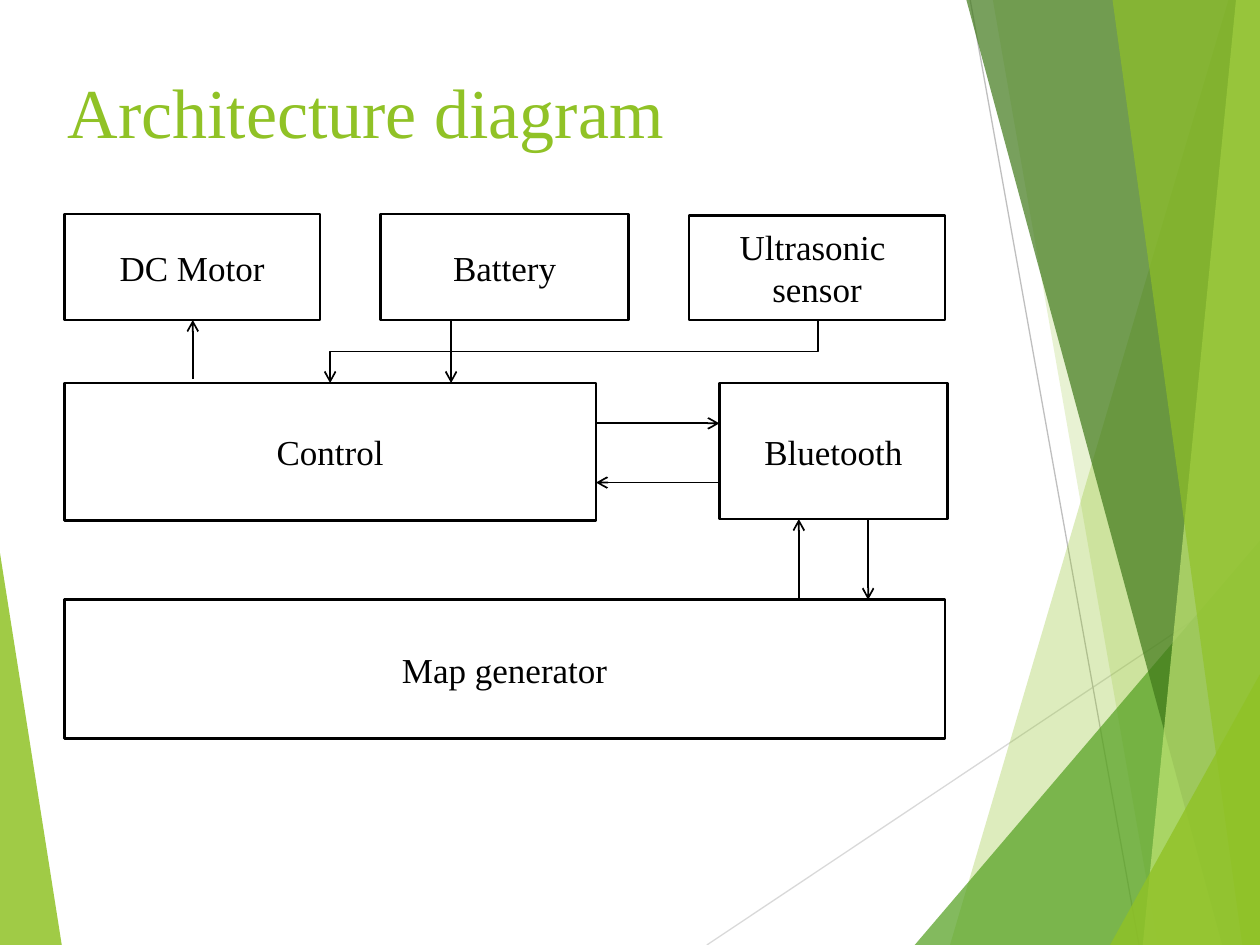
from lxml.etree import SubElement
from pptx import Presentation
from pptx.dml.color import RGBColor
from pptx.enum.shapes import MSO_CONNECTOR, MSO_SHAPE
from pptx.enum.text import MSO_ANCHOR, PP_ALIGN
from pptx.oxml.ns import qn
from pptx.util import Inches, Pt

FONT = "Times New Roman"
COLORS = {
    "lime": "90C226",
    "green": "54A021",
    "forest": "3F7819",
    "pale": "C0E474",
    "silver": "D9D9D9",
    "gray": "BFBFBF",
    "black": "000000",
    "white": "FFFFFF",
}


def color(name):
    return RGBColor.from_string(COLORS[name])


def style_text(paragraph, size, color_name, alignment):
    paragraph.alignment = alignment
    paragraph.font.name = FONT
    paragraph.font.size = Pt(size)
    paragraph.font.color.rgb = color(color_name)


def add_line(slide, start, end, color_name, width, kind=MSO_CONNECTOR.STRAIGHT):
    points = [Inches(value) for value in (*start, *end)]
    connector = slide.shapes.add_connector(kind, *points)
    connector.line.color.rgb = color(color_name)
    connector.line.width = Pt(width)
    SubElement(connector.element.spPr, qn("a:effectLst"))
    return connector


def add_arrow(slide, start, end, kind=MSO_CONNECTOR.STRAIGHT):
    connector = add_line(slide, start, end, "black", 1, kind)
    outline = connector.element.spPr.find(qn("a:ln"))
    SubElement(outline, qn("a:tailEnd"), type="arrow")
    return connector


def add_down_elbow(slide, start, end):
    center_x, center_y = (start[0] + end[0]) / 2, (start[1] + end[1]) / 2
    half_drop, half_run = (end[1] - start[1]) / 2, (start[0] - end[0]) / 2
    connector = add_arrow(
        slide,
        (center_x - half_drop, center_y - half_run),
        (center_x + half_drop, center_y + half_run),
        MSO_CONNECTOR.ELBOW,
    )
    connector.element.spPr.find(qn("a:xfrm")).set("rot", "5400000")


def add_facet(slide, points, color_name, opacity):
    corners = [(Inches(x), Inches(y)) for x, y in points]
    builder = slide.shapes.build_freeform(*corners[0])
    builder.add_line_segments(corners[1:], close=True)
    shape = builder.convert_to_shape()
    shape.shadow.inherit = False
    shape.fill.solid()
    shape.fill.fore_color.rgb = color(color_name)
    shape.line.fill.background()
    fill_color = shape.element.spPr.find(qn("a:solidFill"))[0]
    SubElement(fill_color, qn("a:alpha"), val=str(opacity * 1000))


def add_backdrop(slide, left, top, width, height):
    right, bottom = left + width, top + height
    add_facet(slide, [(left, top + 4.39), (left + 0.49, bottom), (left, bottom)], "lime", 85)
    add_line(slide, (left + 5.61, bottom), (right, top + 4.57), "silver", 0.75)
    add_line(slide, (left + 7.7, top), (left + 9.04, bottom), "gray", 0.75)
    facets = [
        (9.75, 7.54, "lime", 30),
        (7.88, 9.19, "lime", 20),
        (None, 7.26, "green", 72),
        (7.67, 9.7, "forest", 70),
        (9.81, 9.07, "pale", 70),
        (8.83, 9.86, "lime", 65),
        (None, 8.81, "lime", 80),
    ]
    corner_tops = {7.26: 4.29, 8.81: 5.35}
    for upper, lower, color_name, opacity in facets:
        if upper is None:
            edge = [(right, top + corner_tops[lower])]
        else:
            edge = [(right, top), (left + upper, top)]
        add_facet(slide, [*edge, (left + lower, bottom), (right, bottom)], color_name, opacity)


def add_title(slide, text, left, top, width, height):
    shape = slide.shapes.add_textbox(*map(Inches, (left, top, width, height)))
    frame = shape.text_frame
    frame.word_wrap = True
    frame.margin_top = Inches(0.1)
    frame.text = text
    style_text(frame.paragraphs[0], 40, "lime", PP_ALIGN.LEFT)


def add_block(slide, lines, left, top, width, height):
    box = map(Inches, (left, top, width, height))
    shape = slide.shapes.add_shape(MSO_SHAPE.RECTANGLE, *box)
    shape.shadow.inherit = False
    shape.fill.solid()
    shape.fill.fore_color.rgb = color("white")
    shape.line.color.rgb = color("black")
    shape.line.width = Pt(1.5)
    frame = shape.text_frame
    frame.word_wrap = True
    frame.vertical_anchor = MSO_ANCHOR.MIDDLE
    frame.text = "\n".join(lines)
    for paragraph in frame.paragraphs:
        style_text(paragraph, 20, "black", PP_ALIGN.CENTER)


def add_architecture(slide, left, top, width):
    device_bottom = top + 0.84
    control_top, control_bottom = top + 1.34, top + 2.42
    map_top = top + 3.06
    control_right, radio_left = left + 4.22, left + 5.2
    blocks = [
        (["Control"], 0, 1.34, 4.22, 1.09),
        (["DC Motor"], 0, 0, 2.03, 0.84),
        (["Battery"], 2.51, 0, 1.97, 0.84),
        (["Ultrasonic ", "sensor"], width - 2.03, 0.01, 2.03, 0.83),
        (["Bluetooth"], 5.2, 1.34, 1.81, 1.08),
        (["Map generator"], 0, 3.06, width, 1.1),
    ]
    for lines, x, y, block_width, block_height in blocks:
        add_block(slide, lines, left + x, top + y, block_width, block_height)
    arrows = [
        ((radio_left, top + 2.13), (control_right, top + 2.13)),
        ((left + 5.83, map_top), (left + 5.83, control_bottom)),
        ((left + 6.38, control_bottom), (left + 6.38, map_top)),
        ((left + 1.02, control_top - 0.03), (left + 1.02, device_bottom)),
        ((left + 3.07, device_bottom), (left + 3.07, control_top)),
        ((control_right, top + 1.66), (radio_left, top + 1.66)),
    ]
    for start, end in arrows:
        add_arrow(slide, start, end)
    add_down_elbow(slide, (left + 5.98, device_bottom), (left + 2.11, control_top))


presentation = Presentation()
presentation.slide_width = Inches(10)
presentation.slide_height = Inches(7.5)
slide = presentation.slides.add_slide(presentation.slide_layouts[6])
add_backdrop(slide, 0, 0, 10, 7.5)
add_title(slide, "Architecture diagram", 0.44, 0.44, 7.24, 1.02)
add_architecture(slide, 0.51, 1.7, 6.99)
presentation.save("out.pptx")
